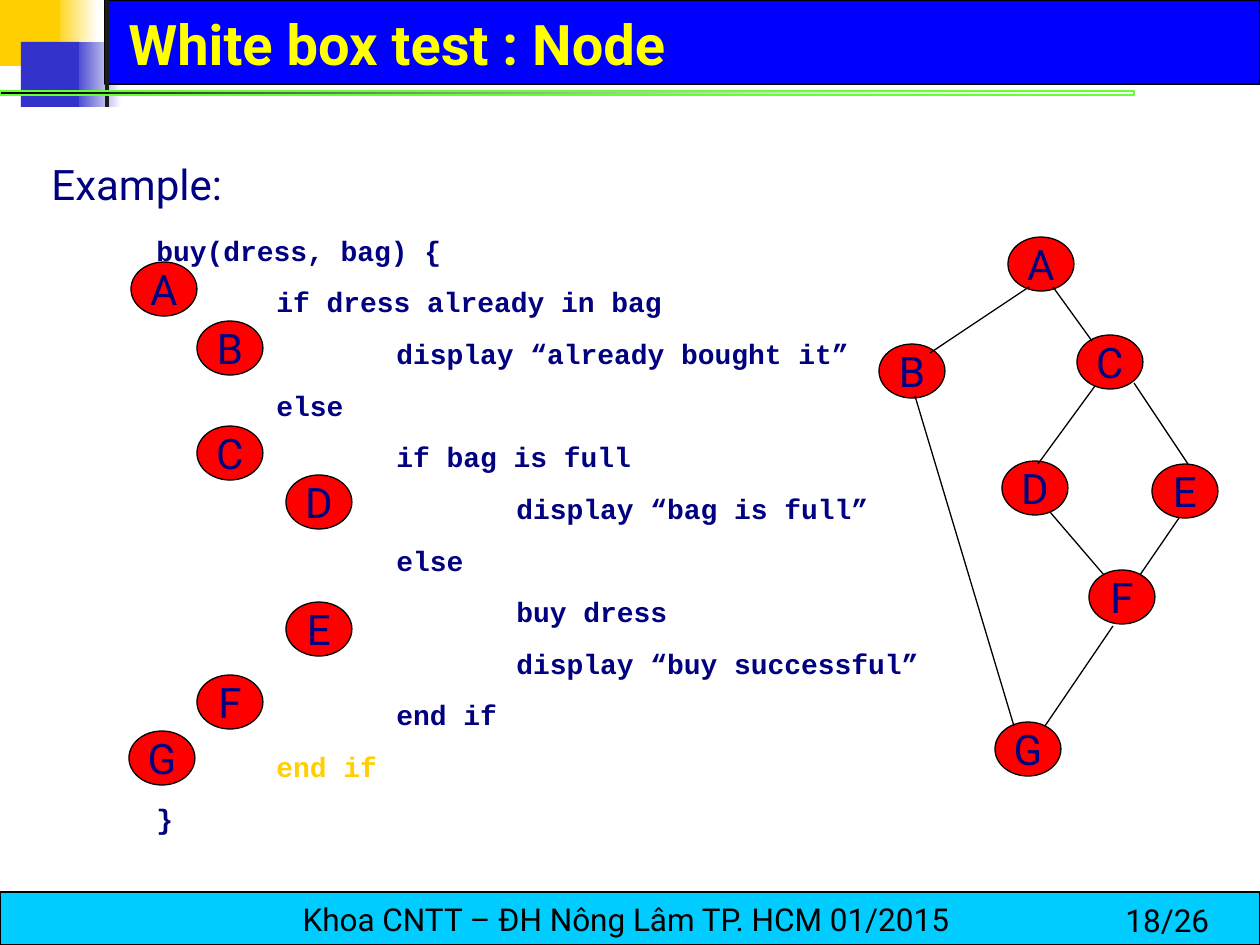
from lxml import etree
from pptx import Presentation
from pptx.dml.color import RGBColor
from pptx.enum.shapes import MSO_CONNECTOR, MSO_SHAPE
from pptx.enum.text import MSO_ANCHOR, PP_ALIGN
from pptx.oxml.ns import qn
from pptx.util import Pt

RECT, OVAL = MSO_SHAPE.RECTANGLE, MSO_SHAPE.OVAL
STRAIGHT = MSO_CONNECTOR.STRAIGHT
MIDDLE, BOTTOM = MSO_ANCHOR.MIDDLE, MSO_ANCHOR.BOTTOM
CENTER = PP_ALIGN.CENTER
PX = 914400 / 126
COLORS = {name: RGBColor.from_string(value) for name, value in {
    "white": "FFFFFF", "black": "000000", "gold": "FFCF01", "indigo": "3333CC",
    "blue": "0000FF", "charcoal": "1C1C1C", "green": "66FF33", "cyan": "00CCFF",
    "yellow": "FFFF00", "red": "FF0000", "navy": "000080",
}.items()}


def add_box(shapes, kind, place, fill, outline=None, fade=None):
    box = shapes.add_shape(kind, *[round(v * PX) for v in place])
    box.shadow.inherit = False
    if fade:
        box.fill.gradient()
        box.fill.gradient_angle = 0
        for stop, position, color in zip(box.fill.gradient_stops, (0, 1), (fill, fade)):
            stop.position = position
            stop.color.rgb = COLORS[color]
    else:
        box.fill.solid()
        box.fill.fore_color.rgb = COLORS[fill]
    if outline:
        box.line.color.rgb = COLORS[outline]
        box.line.width = Pt(0.75)
    else:
        box.line.fill.background()
    return box


def add_text(para, text, size, color, font="Roboto", bold=False):
    span = para.add_run()
    span.text = text
    span.font.name = font
    span.font.size = Pt(size)
    span.font.bold = bold
    span.font.color.rgb = COLORS[color]


deck = Presentation()
deck.slide_width, deck.slide_height = round(1260 * PX), round(945 * PX)
page = deck.slides.add_slide(deck.slide_layouts[6])
page.background.fill.solid()
page.background.fill.fore_color.rgb = COLORS["white"]

# Header decoration
for place, fill, outline, fade in [
    ((53, 0, 45, 66), "gold", None, "white"),
    ((72, 42, 50, 65), "indigo", None, "white"),
    ((105, 0, 1155, 84), "blue", "black", None),
    ((0, 0, 60, 66), "gold", None, None),
    ((21, 42, 58, 65), "indigo", None, None),
    ((105, 0, 4, 107), "charcoal", None, None),
]:
    add_box(page.shapes, RECT, place, fill, outline, fade)

# Green rule, fading to clear
rule = add_box(page.shapes, RECT, (0, 91, 1134, 4), "black", "green", "green")
rule.line.width = Pt(0)
clear_stop = rule._element.spPr.find(qn("a:gradFill")).findall(".//" + qn("a:srgbClr"))[-1]
etree.SubElement(clear_stop, qn("a:alpha")).set("val", "0")

# Footer bar
footer = add_box(page.shapes, RECT, (0, 892, 1260, 53), "cyan", "black")
footer.text_frame.word_wrap = False
footer.text_frame.vertical_anchor = MIDDLE
para = footer.text_frame.paragraphs[0]
para.alignment = CENTER
add_text(para, "Khoa CNTT – ĐH Nông Lâm TP. HCM 01/2015 ", 18, "black")

# Page number, title and lead-in
for text, place, size, color, bold in [
    ("18/26", (1113, 895, 147, 50), 18, "black", False),
    ("White box test : Node", (116, 8, 1090, 75), 32, "yellow", True),
    ("Example:", (39, 152, 295, 64), 24, "navy", False),
]:
    box = page.shapes.add_textbox(*[round(v * PX) for v in place])
    box.text_frame.word_wrap = True
    if bold:
        box.text_frame.vertical_anchor = BOTTOM
    add_text(box.text_frame.paragraphs[0], text, size, color, bold=bold)

# Code listing: indent level, text
listing = page.shapes.add_group_shape()
code = listing.shapes.add_textbox(*[round(v * PX) for v in (118, 227, 945, 689)])
code.text_frame.word_wrap = True
for number, (level, text) in enumerate([
    (0, "buy(dress, bag) {"),
    (1, "if dress already in bag"),
    (2, "display “already bought it”"),
    (1, "else"),
    (2, "if bag is full"),
    (3, "display “bag is full”"),
    (2, "else"),
    (3, "buy dress"),
    (3, "display “buy successful”"),
    (2, "end if"),
    (1, "end if"),
    (0, "}"),
]):
    para = code.text_frame.paragraphs[0] if number == 0 else code.text_frame.add_paragraph()
    para.space_before, para.space_after = Pt(4.3), Pt(6)
    para._p.get_or_add_pPr().set("marL", str(round((26 + 120 * level) * PX)))
    color = "gold" if (level, text) == (1, "end if") else "navy"
    add_text(para, text, 16, color, "Courier New", True)

# Nodes A to G, beside the code and in the flow graph
code_nodes = [(131, 262), (197, 321), (197, 426), (286, 475), (286, 602), (197, 675), (129, 731)]
graph_nodes = [(1008, 237), (879, 344), (1077, 335), (1002, 461), (1152, 464), (1089, 570), (995, 722)]
for shapes, corners in [(listing.shapes, code_nodes), (page.shapes, graph_nodes)]:
    for letter, corner in zip("ABCDEFG", corners):
        node = add_box(shapes, OVAL, (*corner, 66, 54), "red", "black")
        node.text_frame.word_wrap = False
        node.text_frame.vertical_anchor = MIDDLE
        para = node.text_frame.paragraphs[0]
        para.alignment = CENTER
        add_text(para, letter, 24, "navy")

# Graph edges
for ends in [
    (1029, 287, 930, 353),   # A-B
    (1053, 287, 1092, 341),  # A-C
    (1095, 386, 1038, 464),  # C-D
    (1134, 383, 1188, 464),  # C-E
    (1050, 512, 1104, 575),  # D-F
    (1179, 518, 1140, 575),  # E-F
    (1113, 626, 1045, 726),  # F-G
    (915, 396, 1014, 726),   # B-G
]:
    edge = page.shapes.add_connector(STRAIGHT, *[round(v * PX) for v in ends])
    edge.line.color.rgb = COLORS["black"]
    edge.line.width = Pt(0.75)
    etree.SubElement(edge._element.spPr, qn("a:effectLst"))

deck.save("out.pptx")
